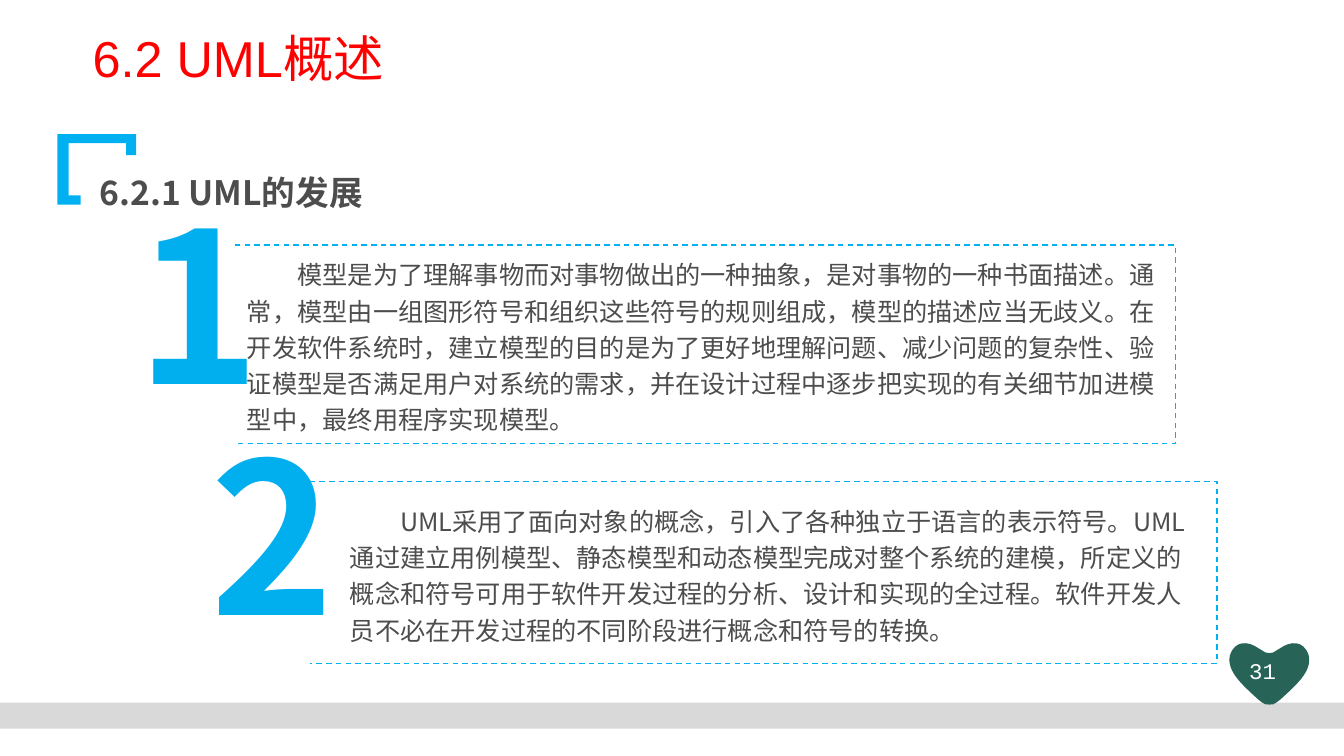
from pptx import Presentation
from pptx.dml.color import RGBColor
from pptx.enum.dml import MSO_LINE
from pptx.enum.shapes import MSO_SHAPE
from pptx.enum.text import MSO_ANCHOR, PP_ALIGN
from pptx.oxml.ns import qn
from pptx.util import Inches, Pt

RECTANGLE, DASH = MSO_SHAPE.RECTANGLE, MSO_LINE.DASH
TOP, MIDDLE = MSO_ANCHOR.TOP, MSO_ANCHOR.MIDDLE
LEFT, CENTER = PP_ALIGN.LEFT, PP_ALIGN.CENTER

COLORS = {"title": "FF0000", "text": "4D4D4D", "accent": "00B0F0",
          "number": "01AFEE", "bar": "D9D9D9", "heart": "276357", "page": "FFFFFF"}
CJK_SC, CJK_JP = "Noto Sans CJK SC", "Noto Sans CJK JP"

TITLE = "6.2 UML概述"
SECTION = "6.2.1 UML的发展"
PAGE_NUMBER = "31 "
NUMBER_SIZE = (1.09, 2.62)
# number, its corner, panel (left, top, width, height), panel insets, text
POINTS = [
    ("1", (1.26, 1.67), (2.33, 2.43, 9.33, 1.97), (0.12, 0.05, 0.12, 0.05),
     "模型是为了理解事物而对事物做出的一种抽象，是对事物的一种书面描述。通常，模型由一组图形符号和"
     "组织这些符号的规则组成，模型的描述应当无歧义。在开发软件系统时，建立模型的目的是为了更好地理解问题、"
     "减少问题的复杂性、验证模型是否满足用户对系统的需求，并在设计过程中逐步把实现的有关细节加进模型中，"
     "最终用程序实现模型。"),
    ("2", (1.99, 3.96), (3.07, 4.78, 9.0, 1.8), (0.4, 0.2, 0.18, 0.2),
     "UML采用了面向对象的概念，引入了各种独立于语言的表示符号。UML通过建立用例模型、静态模型和"
     "动态模型完成对整个系统的建模，所定义的概念和符号可用于软件开发过程的分析、设计和实现的全过程。"
     "软件开发人员不必在开发过程的不同阶段进行概念和符号的转换。"),
]
BRACKET = [(0.57, 1.33), (1.35, 1.33), (1.35, 1.54), (1.25, 1.54), (1.25, 1.42),
           (0.68, 1.42), (0.68, 1.94), (0.8, 1.94), (0.8, 2.03), (0.57, 2.03)]
# Right half of the heart from notch to tip: a start, then three points per curve
HEART_AXIS = 12.59
HEART_HALF = [
    (12.59, 6.48),
    (12.62, 6.48), (12.64, 6.47), (12.65, 6.46),
    (12.65, 6.46), (12.65, 6.46), (12.7, 6.43),
    (12.8, 6.36), (12.93, 6.35), (12.98, 6.5),
    (13.02, 6.66), (12.85, 6.8), (12.7, 6.94),
    (12.66, 6.97), (12.66, 6.97), (12.66, 6.97),
    (12.64, 6.99), (12.62, 6.99), (12.59, 6.99),
]


def color(name):
    return RGBColor.from_string(COLORS[name])


def add_outline(points, close=True):
    corners = [(Inches(x), Inches(y)) for x, y in points]
    builder = slide.shapes.build_freeform(*corners[0])
    builder.add_line_segments(corners[1:], close=close)
    outline = builder.convert_to_shape()
    outline.shadow.inherit = False
    return outline


def bend(outline):
    """Turn every three line segments into one cubic curve."""
    segments = list(outline._element.iter(qn("a:lnTo")))
    for start in range(0, len(segments) - 2, 3):
        triple = segments[start:start + 3]
        curve = triple[0].makeelement(qn("a:cubicBezTo"), {})
        triple[0].addprevious(curve)
        for segment in triple:
            curve.append(segment[0])
            segment.getparent().remove(segment)


def paint(shape, name):
    shape.fill.solid()
    shape.fill.fore_color.rgb = color(name)
    shape.line.fill.background()


def write(shape, text, size, font, ink, bold=False, align=LEFT, anchor=TOP,
          spacing=1.0, insets=(0.1, 0.05, 0.1, 0.05), indent=0):
    frame = shape.text_frame
    frame.word_wrap = True
    frame.vertical_anchor = anchor
    (frame.margin_left, frame.margin_top,
     frame.margin_right, frame.margin_bottom) = map(Inches, insets)
    paragraph = frame.paragraphs[0]
    paragraph.alignment = align
    paragraph.line_spacing = spacing
    if indent:
        properties = paragraph._p.get_or_add_pPr()
        properties.set("marL", "0")
        properties.set("indent", str(Inches(indent)))
    run = paragraph.add_run()
    run.text = text
    run.font.size = Pt(size)
    run.font.bold = bold
    run.font.color.rgb = color(ink)
    run.font.name = font
    east_asian = run._r.rPr.makeelement(qn("a:ea"), {
        "typeface": font if font in (CJK_SC, CJK_JP) else CJK_SC})
    run._r.rPr.find(qn("a:latin")).addnext(east_asian)


def add_text(box, *args, **style):
    write(slide.shapes.add_textbox(*map(Inches, box)), *args, **style)


prs = Presentation()
prs.slide_width, prs.slide_height = Inches(13.33), Inches(7.5)
slide = prs.slides.add_slide(prs.slide_layouts[6])

paint(add_outline(BRACKET), "accent")
bar = slide.shapes.add_shape(RECTANGLE, 0, Inches(6.97), prs.slide_width, Inches(0.26))
bar.shadow.inherit = False
paint(bar, "bar")

left_half = [(2 * HEART_AXIS - x, y) for x, y in reversed(HEART_HALF[:-1])]
heart = add_outline(HEART_HALF + left_half)
bend(heart)
paint(heart, "heart")
add_text((12.24, 6.47, 0.7, 0.39), PAGE_NUMBER, 16, "Courier New", "page", align=CENTER)

add_text((0.82, 0.29, 9.2, 0.94), TITLE, 36, "Arial", "title", spacing=0.9)
add_text((0.89, 1.54, 6.32, 0.62), SECTION, 24, CJK_SC, "text", bold=True, spacing=1.3)

for number, corner, (left, top, width, height), insets, text in POINTS:
    right, bottom = left + width, top + height
    panel = add_outline([(left, top), (right, top), (right, bottom), (left, bottom)],
                        close=False)
    panel.fill.background()
    panel.line.color.rgb = color("accent")
    panel.line.width = Pt(1)
    panel.line.dash_style = DASH
    write(panel, text, 18, CJK_SC, "text", anchor=MIDDLE, spacing=1.2,
          insets=insets, indent=0.5)
    add_text(corner + NUMBER_SIZE, number, 150, CJK_JP, "number", bold=True,
             align=CENTER, anchor=MIDDLE)

prs.save("out.pptx")
